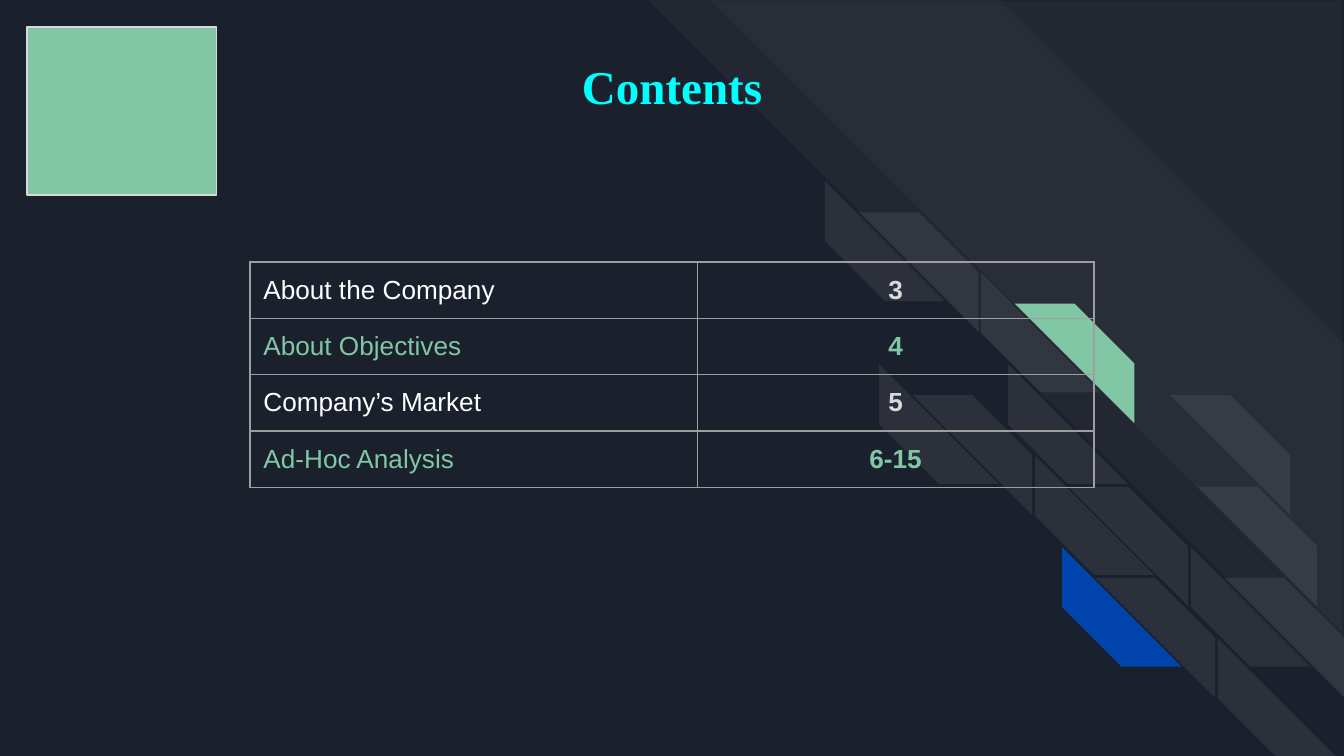
from dataclasses import dataclass

from lxml import etree
from pptx import Presentation
from pptx.dml.color import RGBColor
from pptx.enum.shapes import MSO_SHAPE
from pptx.enum.text import MSO_ANCHOR, PP_ALIGN
from pptx.oxml.ns import qn
from pptx.util import Inches, Pt

STRIPE, RECT = MSO_SHAPE.DIAGONAL_STRIPE, MSO_SHAPE.RECTANGLE
LEFT, CENTER = PP_ALIGN.LEFT, PP_ALIGN.CENTER
MIDDLE, TOP = MSO_ANCHOR.MIDDLE, MSO_ANCHOR.TOP
TITLE_ONLY = 5
SLIDE_W = 10
SLIDE_H = SLIDE_W * 9 / 16
RISING, FALLING = 270, 90  # rotation of the lower and the upper brick of a pair


@dataclass(frozen=True)
class Theme:
    background: str = "1B212C"
    white: str = "FFFFFF"
    green: str = "82C7A5"
    blue: str = "0145AC"
    grey: str = "D9D9D9"
    border: str = "9E9E9E"
    title: str = "00FFFF"
    title_font: str = "Times New Roman"
    body_font: str = "Arial"
    title_size: float = 25.2
    body_size: float = 14
    line: float = 0.75
    inset: float = 0.1


THEME = Theme()

# Brick lattice: (column, row, which bricks of the pair are present)
BRICK = 0.89
LATTICE_ORIGIN, COLUMN_STEP, ROW_STEP = (6.14, 1.35), (1.16, 0.68), (0.2, 0.68)
PAIR_OFFSET = (0.25, 0.23)
BRICKS = [
    (0, 0, "both"), (0, 2, "both"),
    (1, 0, "both"), (1, 1, "lower"), (1, 2, "both"), (1, 3, "both"),
    (2, 0, "upper"), (2, 1, "upper"), (2, 2, "both"), (2, 3, "lower"),
]
ACCENTS = {(1, 0, FALLING): THEME.green, (1, 3, RISING): THEME.blue}

CONTENTS = [
    ("About the Company", "3"),
    ("About Objectives", "4"),
    ("Company’s Market", "5"),
    ("Ad-Hoc Analysis", "6-15"),
]


def inches(box):
    return [Inches(v) for v in box]


def add_run(p, text, font, size, color, bold=False):
    r = p.add_run()
    r.text = text
    r.font.name, r.font.size, r.font.bold = font, Pt(size), bold
    r.font.color.rgb = RGBColor.from_string(color)


def add_stripe(group, box, rotation, thickness, color, opacity=100):
    sp = group.shapes.add_shape(STRIPE, *inches(box))
    sp.rotation = rotation
    sp.adjustments[0] = thickness
    sp.shadow.inherit = False
    sp.line.fill.background()
    sp.fill.solid()
    sp.fill.fore_color.rgb = RGBColor.from_string(color)
    if opacity < 100:
        clr = sp.element.spPr.find(qn("a:solidFill")).find(qn("a:srgbClr"))
        etree.SubElement(clr, qn("a:alpha")).set("val", str(opacity * 1000))


def add_backdrop(s):
    group = s.shapes.add_group_shape()
    add_stripe(group, (4.82, 0, 5.18, 5.18), FALLING, 0.495, THEME.white, 3)
    add_stripe(group, (5.29, 0.01, 4.7, 4.69), FALLING, 0, THEME.white, 3)
    for col, row, part in BRICKS:
        x, y = (o + col * c + row * r
                for o, c, r in zip(LATTICE_ORIGIN, COLUMN_STEP, ROW_STEP))
        bricks = []
        if part != "upper":
            bricks.append((RISING, x, y))
        if part != "lower":
            bricks.append((FALLING, x + PAIR_OFFSET[0], y + PAIR_OFFSET[1]))
        for rotation, left, top in bricks:
            accent = ACCENTS.get((col, row, rotation))
            add_stripe(group, (left, top, BRICK, BRICK), rotation, 0.5,
                       accent or THEME.white, 100 if accent else 7)


def add_title(s, box, text):
    title = s.shapes.title
    s.shapes.element.append(title.element)  # in front of the backdrop
    title.left, title.top, title.width, title.height = inches(box)
    tf = title.text_frame
    tf.word_wrap = True
    tf.vertical_anchor = MIDDLE
    tf.margin_left = tf.margin_right = Inches(THEME.inset)
    tf.margin_top = tf.margin_bottom = Inches(THEME.inset)
    p = tf.paragraphs[0]
    p.alignment = LEFT
    add_run(p, text, THEME.title_font, THEME.title_size, THEME.title, True)


def add_emblem(s, box):
    sp = s.shapes.add_shape(RECT, *inches(box))
    sp.shadow.inherit = False
    sp.fill.solid()
    sp.fill.fore_color.rgb = RGBColor.from_string(THEME.green)
    sp.line.color.rgb = RGBColor.from_string(THEME.grey)
    sp.line.width = Pt(THEME.line)


def set_borders(cell):
    tc_pr = cell._tc.get_or_add_tcPr()
    for side in ("lnL", "lnR", "lnT", "lnB"):
        ln = etree.SubElement(tc_pr, qn(f"a:{side}"), w=str(Pt(THEME.line)))
        fill = etree.SubElement(ln, qn("a:solidFill"))
        etree.SubElement(fill, qn("a:srgbClr"), val=THEME.border)


def add_contents(s, box, shares, entries):
    """Table with a topic column and a page column, split by shares."""
    table = s.shapes.add_table(len(entries), len(shares), *inches(box)).table
    table.first_row = table.horz_banding = False
    for column, share in zip(table.columns, shares):
        column.width = Inches(box[2] * share)
    for i, entry in enumerate(entries):
        table.rows[i].height = Inches(box[3] / len(entries))
        topic_color, page_color = (
            (THEME.green, THEME.green) if i % 2 else (THEME.white, THEME.grey))
        styles = [(LEFT, topic_color, False), (CENTER, page_color, True)]
        for j, (text, (align, color, bold)) in enumerate(zip(entry, styles)):
            cell = table.cell(i, j)
            set_borders(cell)
            cell.fill.background()
            cell.vertical_anchor = TOP
            cell.margin_left = cell.margin_right = Inches(THEME.inset)
            cell.margin_top = cell.margin_bottom = Inches(THEME.inset)
            p = cell.text_frame.paragraphs[0]
            p.alignment = align
            add_run(p, text, THEME.body_font, THEME.body_size, color, bold)


def main():
    prs = Presentation()
    prs.slide_width, prs.slide_height = Inches(SLIDE_W), Inches(SLIDE_H)
    s = prs.slides.add_slide(prs.slide_layouts[TITLE_ONLY])
    s.background.fill.solid()
    s.background.fill.fore_color.rgb = RGBColor.from_string(THEME.background)
    add_backdrop(s)
    add_title(s, (4.23, 0.19, 1.67, 0.9), "Contents")
    add_emblem(s, (0.2, 0.2, 1.41, 1.25))
    add_contents(s, (1.86, 1.95, 6.28, 1.36), (0.53, 0.47), CONTENTS)
    prs.save("out.pptx")


if __name__ == "__main__":
    main()
